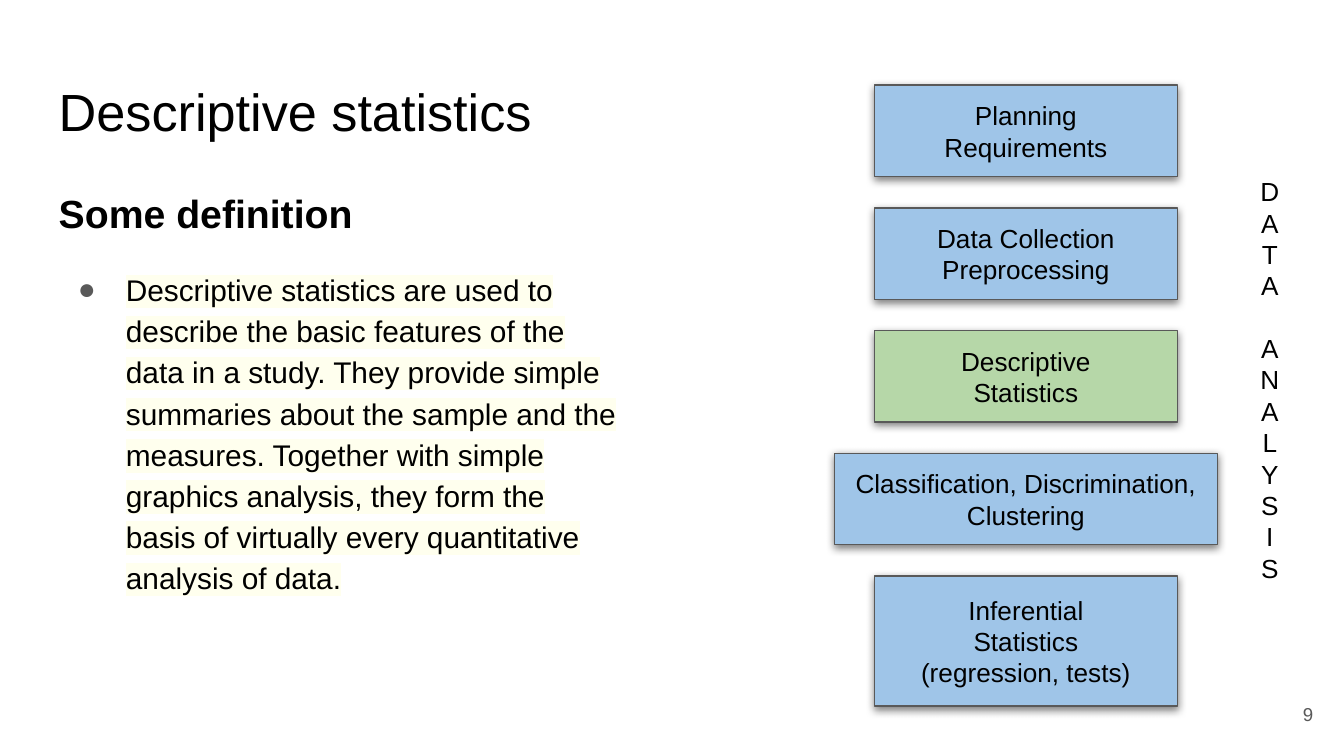
from lxml import etree
from pptx import Presentation, util as u
from pptx.dml.color import RGBColor
from pptx.enum import shapes, text
from pptx.oxml.ns import qn

BLACK, GREY, WHITE = "000000", "595959", "FFFFFF"
BLUE, GREEN, CREAM = "9FC5E8", "B6D7A8", "FFFFEE"
LEFT, CENTER, RIGHT = text.PP_ALIGN.LEFT, text.PP_ALIGN.CENTER, text.PP_ALIGN.RIGHT
TOP, MIDDLE = text.MSO_ANCHOR.TOP, text.MSO_ANCHOR.MIDDLE


def color(value):
    return RGBColor.from_string(value)


def add_xml(parent, tag, **attributes):
    return etree.SubElement(parent, qn(tag), attributes)


class SlideBuilder:
    font = "Arial"
    inset = u.Cm(0.25)

    def __init__(self, slide):
        self.slide = slide
        slide.background.fill.solid()
        slide.background.fill.fore_color.rgb = color(WHITE)

    def place(self, shape, left, top, width, height):
        shape.left, shape.top = u.Cm(left), u.Cm(top)
        shape.width, shape.height = u.Cm(width), u.Cm(height)

    def frame(self, shape, anchor=TOP):
        frame = shape.text_frame
        frame.word_wrap = True
        frame.auto_size = text.MSO_AUTO_SIZE.NONE
        frame.vertical_anchor = anchor
        frame.margin_left = frame.margin_right = self.inset
        frame.margin_top = frame.margin_bottom = self.inset
        return frame

    def paragraph(self, frame, words, size, align=LEFT, ink=BLACK, bold=False,
                  before=0, after=0, spacing=1.0):
        """Fill the empty first paragraph, or add one after the others."""
        first = frame.paragraphs[0]
        para = frame.add_paragraph() if first.runs else first
        para.alignment = align
        para.line_spacing = spacing
        para.space_before, para.space_after = u.Pt(before), u.Pt(after)
        span = para.add_run()
        span.text = words
        span.font.name, span.font.size, span.font.bold = self.font, u.Pt(size), bold
        span.font.color.rgb = color(ink)
        return para

    def title(self, words, *place):
        box = self.slide.shapes.title
        self.place(box, *place)
        self.paragraph(self.frame(box), words, 28)

    def body(self, heading, items, *place):
        box = self.slide.placeholders[1]
        self.place(box, *place)
        frame = self.frame(box)
        para = self.paragraph(frame, heading, 21, bold=True, spacing=1.15)
        self.indent(para, 0, 0)
        add_xml(para._p.pPr, "a:buNone")
        for item in items:
            para = self.paragraph(frame, item, 16, before=16, after=12, spacing=1.15)
            self.indent(para, 1.27, -0.91)
            self.bullet(para, GREY)
            self.highlight(para.runs[0], CREAM)

    def indent(self, para, margin, first_line):
        properties = para._p.get_or_add_pPr()
        properties.set("marL", str(u.Cm(margin)))
        properties.set("indent", str(u.Cm(first_line)))

    def bullet(self, para, ink):
        properties = para._p.pPr
        add_xml(add_xml(properties, "a:buClr"), "a:srgbClr", val=ink)
        add_xml(properties, "a:buFont", typeface=self.font)
        add_xml(properties, "a:buChar", char="●")

    def highlight(self, span, tint):
        mark = etree.Element(qn("a:highlight"))
        add_xml(mark, "a:srgbClr", val=tint)
        span._r.rPr.find(qn("a:solidFill")).addnext(mark)

    def step(self, lines, fill, *place):
        box = self.slide.shapes.add_shape(shapes.MSO_SHAPE.RECTANGLE, 0, 0, 0, 0)
        self.place(box, *place)
        box.fill.solid()
        box.fill.fore_color.rgb = color(fill)
        box.line.color.rgb = color(GREY)
        box.line.width = u.Pt(0.75)
        self.drop_shadow(box)
        frame = self.frame(box, MIDDLE)
        for line in lines:
            self.paragraph(frame, line, 14, CENTER)

    def drop_shadow(self, shape):
        shape.shadow.inherit = False
        effects = shape._element.spPr.find(qn("a:effectLst"))
        shadow = add_xml(effects, "a:outerShdw", blurRad=str(u.Pt(4.5)),
                         dist=str(u.Pt(1.5)), dir="5400000", algn="bl", rotWithShape="0")
        tint = add_xml(shadow, "a:srgbClr", val=BLACK)
        add_xml(tint, "a:alpha", val="50000")

    def text_box(self, anchor, *place):
        box = self.slide.shapes.add_textbox(0, 0, 0, 0)
        self.place(box, *place)
        return self.frame(box, anchor)

    def stacked_words(self, words, *place):
        """Write one letter a line, with an empty line's height between words."""
        frame = self.text_box(TOP, *place)
        for number, word in enumerate(words):
            for position, letter in enumerate(word):
                gap = 16.8 if number and position == 0 else 0
                self.paragraph(frame, letter, 14, CENTER, before=gap)

    def page_number(self, number, *place):
        self.paragraph(self.text_box(MIDDLE, *place), number, 10, RIGHT, GREY)


def main():
    deck = Presentation()
    deck.slide_width, deck.slide_height = u.Cm(25.4), u.Cm(14.29)
    page = SlideBuilder(deck.slides.add_slide(deck.slide_layouts[1]))

    page.title("Descriptive statistics", 0.86, 1.24, 12.55, 1.6)
    page.body("Some definition", [
        "Descriptive statistics are used to describe the basic features of the data "
        "in a study. They provide simple summaries about the sample and the measures. "
        "Together with simple graphics analysis, they form the basis of virtually "
        "every quantitative analysis of data."], 0.86, 3.2, 11.1, 9.5)
    page.page_number("9", 23.55, 12.95, 1.52, 1.09)

    steps = [
        (["Planning", "Requirements"], BLUE, 5.72, 1.73),
        (["Data Collection", "Preprocessing"], BLUE, 5.72, 1.73),
        (["Descriptive", "Statistics"], GREEN, 5.72, 1.73),
        (["Classification, Discrimination, Clustering"], BLUE, 7.24, 1.73),
        (["Inferential", "Statistics", "(regression, tests)"], BLUE, 5.72, 2.46),
    ]
    middle, top, pitch = 19.39, 1.61, 2.32
    for row, (lines, fill, width, height) in enumerate(steps):
        page.step(lines, fill, middle - width / 2, top + row * pitch, width, height)

    page.stacked_words(["DATA", "ANALYSIS"], 23.24, 3.07, 1.52, 8.13)
    deck.save("out.pptx")


if __name__ == "__main__":
    main()
